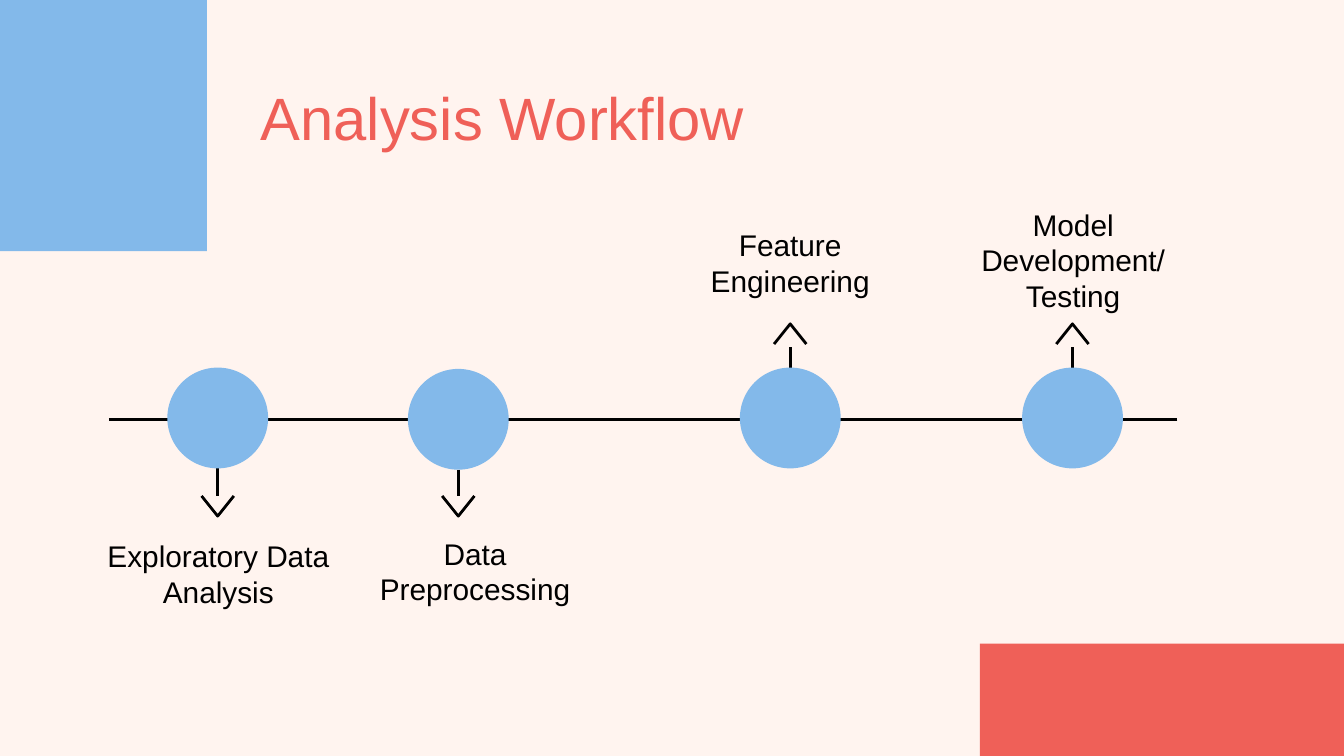
from dataclasses import dataclass

from lxml.etree import SubElement
from pptx import Presentation
from pptx.dml.color import RGBColor
from pptx.enum.shapes import MSO_CONNECTOR, MSO_SHAPE
from pptx.enum.text import MSO_ANCHOR, PP_ALIGN
from pptx.oxml.ns import qn
from pptx.util import Inches, Pt


@dataclass(frozen=True)
class Theme:
    back: RGBColor = RGBColor.from_string("FFF4EF")
    blue: RGBColor = RGBColor.from_string("83B9EA")
    coral: RGBColor = RGBColor.from_string("EF6058")
    ink: RGBColor = RGBColor.from_string("000000")
    font: str = "Arial"
    title: int = 32
    label: int = 16
    line: float = 1.5


THEME = Theme()
AXIS = 3.12
DOT = 0.75

STEPS = [
    (1.62, 3.11, 1, ["Exploratory Data Analysis"], (0.67, 4.05, 1.91, 0.44)),
    (3.41, 3.12, 1, ["Data Preprocessing"], (2.48, 4.03, 2.11, 0.44)),
    (5.88, 3.11, -1, ["Feature Engineering"], (4.88, 1.64, 2, 0.63)),
    (7.98, 3.11, -1, ["Model Development/", "Testing"], (6.88, 1.47, 2.21, 0.93)),
]


def write(frame, lines, size, color):
    frame.word_wrap = True
    frame.vertical_anchor = MSO_ANCHOR.MIDDLE
    frame.margin_left = frame.margin_right = Inches(0.1)
    frame.margin_top = frame.margin_bottom = Inches(0.1)
    for i, line in enumerate(lines):
        para = frame.add_paragraph() if i else frame.paragraphs[0]
        para.alignment = PP_ALIGN.CENTER
        run = para.add_run()
        run.text = line
        run.font.name = THEME.font
        run.font.size = Pt(size)
        run.font.color.rgb = color


def add_title(slide, text, box):
    title = slide.shapes.title
    title.left, title.top, title.width, title.height = map(Inches, box)
    write(title.text_frame, [text], THEME.title, THEME.coral)


def add_label(slide, lines, box):
    label = slide.shapes.add_textbox(*map(Inches, box))
    write(label.text_frame, lines, THEME.label, THEME.ink)


def add_block(slide, kind, box, color):
    block = slide.shapes.add_shape(kind, *map(Inches, box))
    block.shadow.inherit = False
    block.fill.solid()
    block.fill.fore_color.rgb = color
    block.line.fill.background()


def ink_line(line):
    line.color.rgb = THEME.ink
    line.width = Pt(THEME.line)


def add_line(slide, x1, y1, x2, y2):
    line = slide.shapes.add_connector(
        MSO_CONNECTOR.STRAIGHT, *map(Inches, (x1, y1, x2, y2)))
    ink_line(line.line)
    SubElement(line._element.spPr, qn("a:effectLst"))


def add_head(slide, x, base, tip):
    outline = slide.shapes.build_freeform(
        Inches(x - 0.12), Inches(base), scale=1.0)
    outline.add_line_segments(
        [(Inches(x), Inches(tip)), (Inches(x + 0.12), Inches(base))],
        close=False)
    head = outline.convert_to_shape()
    head.shadow.inherit = False
    head.fill.background()
    ink_line(head.line)


def add_step(slide, x, y, way, lines, box):
    stem, base, tip = (3.69, 3.69, 3.84) if way > 0 else (2.58, 2.56, 2.41)
    add_line(slide, x, y + way * DOT / 2, x, stem)
    add_head(slide, x, base, tip)
    add_block(slide, MSO_SHAPE.OVAL,
              (x - DOT / 2, y - DOT / 2, DOT, DOT), THEME.blue)
    add_label(slide, lines, box)


def main():
    deck = Presentation()
    deck.slide_width = Inches(10)
    deck.slide_height = Inches(10 * 9 / 16)
    slide = deck.slides.add_slide(deck.slide_layouts[5])
    slide.background.fill.solid()
    slide.background.fill.fore_color.rgb = THEME.back
    add_block(slide, MSO_SHAPE.RECTANGLE, (0, 0, 1.54, 1.87), THEME.blue)
    add_block(slide, MSO_SHAPE.RECTANGLE, (7.29, 4.79, 2.71, 0.84), THEME.coral)
    add_title(slide, "Analysis Workflow", (-0.63, 0.56, 8.74, 0.62))
    add_line(slide, 0.81, AXIS, 5.06, AXIS)
    add_line(slide, 8.76, AXIS, 5.06, AXIS)
    for step in STEPS:
        add_step(slide, *step)
    deck.save("out.pptx")


if __name__ == "__main__":
    main()
